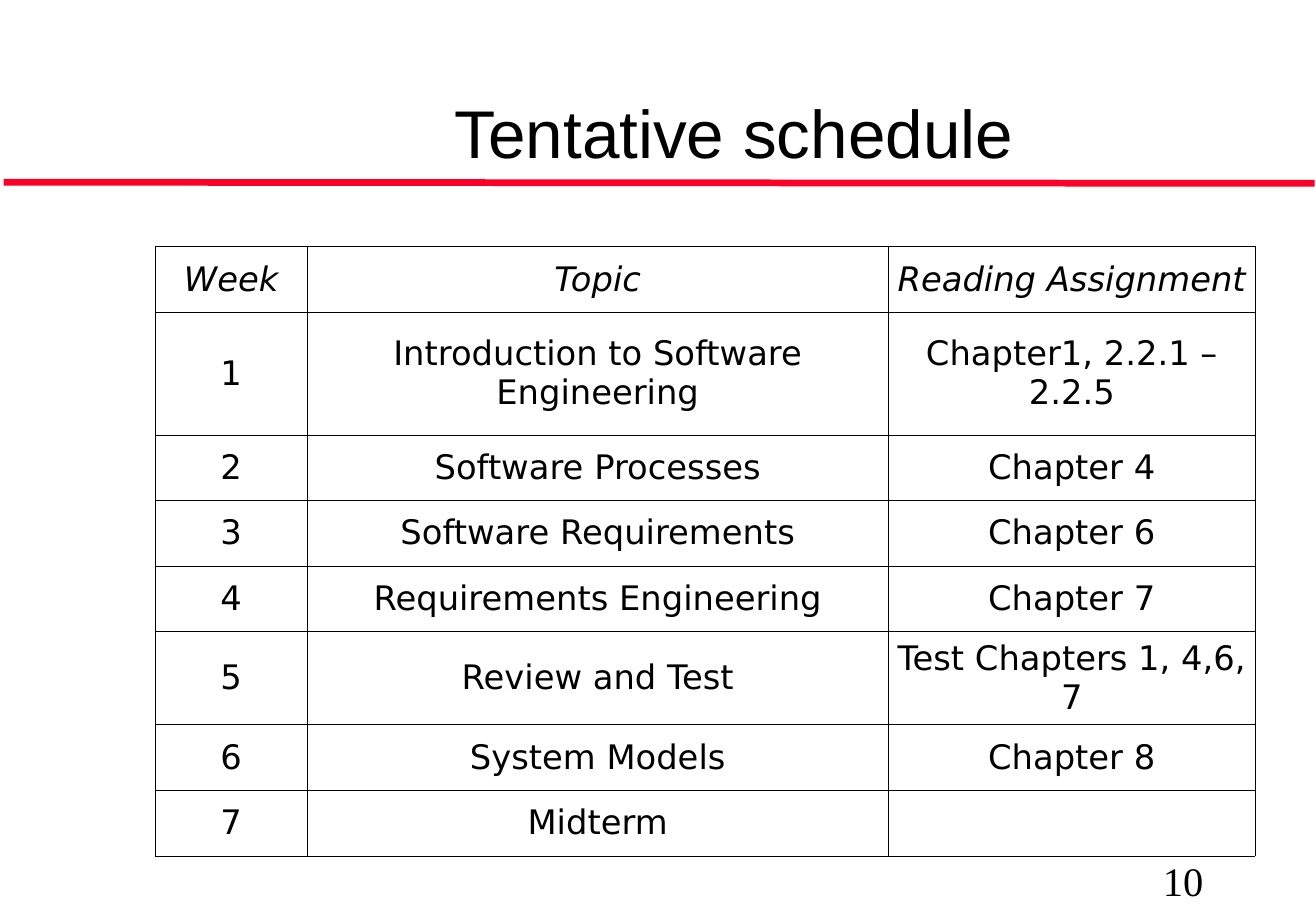
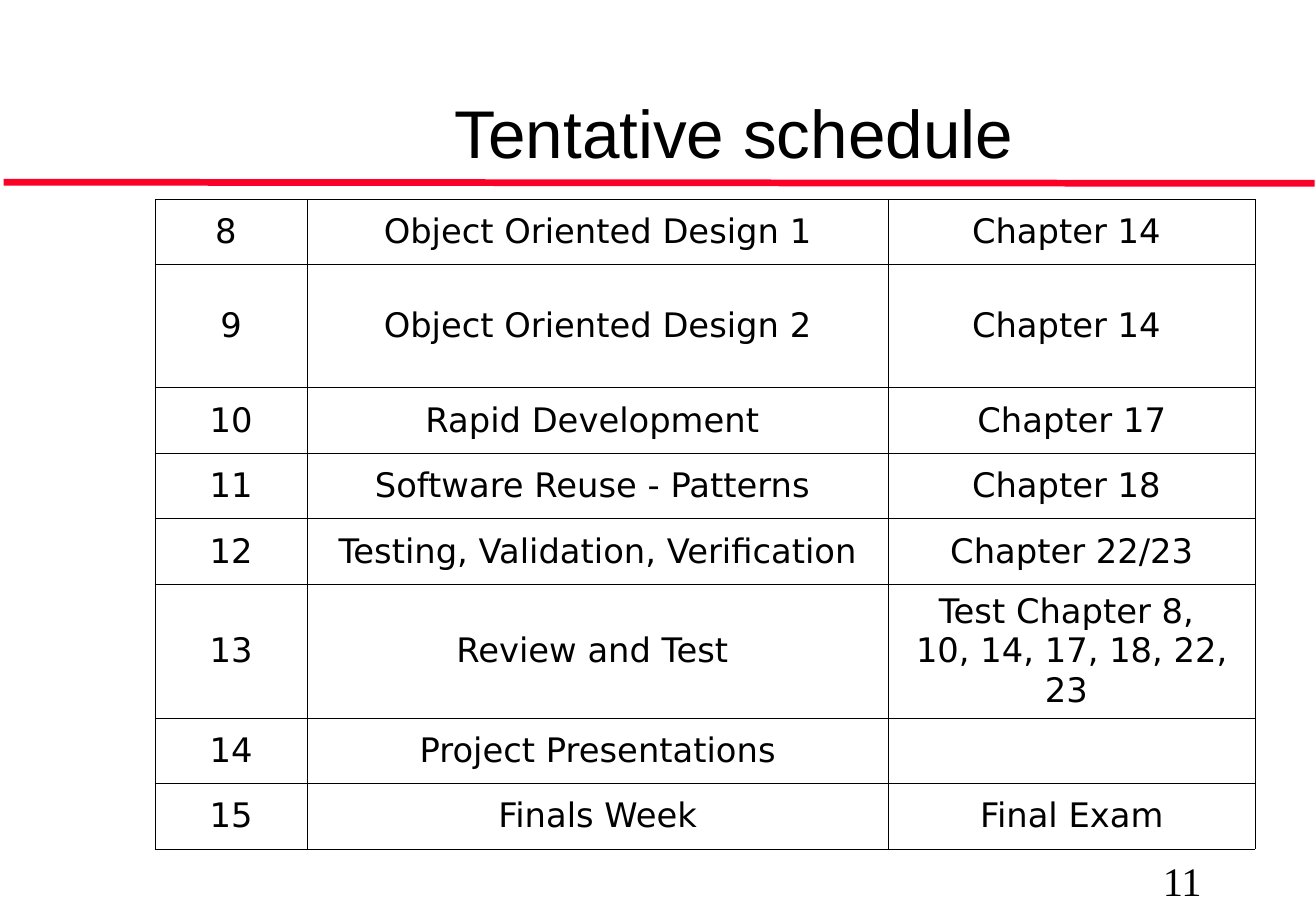
"""Build two slides that show a tentative course schedule as tables."""
from lxml.etree import SubElement
from pptx import Presentation
from pptx.dml.color import RGBColor
from pptx.enum.shapes import MSO_CONNECTOR
from pptx.enum.text import MSO_ANCHOR, PP_ALIGN
from pptx.oxml.ns import qn
from pptx.util import Inches, Pt

BLACK, RED = "000000", "FC0128"

deck = Presentation()
deck.slide_width, deck.slide_height = Inches(10.84), Inches(7.5)
COL, ROW = deck.slide_width / 100, deck.slide_height / 100

TABLE_LEFT = 11.8
TABLE_COLS = [11.53, 44.19, 27.86]
LINE, TALL = 7.2, 13.47

schedules = [
    {
        "number": "10",
        "top": 27.07,
        "heights": [LINE, TALL, LINE, LINE, LINE, 9.2, LINE, LINE],
        "header": True,
        "weeks": [
            ("Week", "Topic", "Reading Assignment"),
            ("1", "Introduction to Software Engineering", "Chapter1, 2.2.1 – 2.2.5"),
            ("2", "Software Processes", "Chapter 4"),
            ("3", "Software Requirements", "Chapter 6"),
            ("4", "Requirements Engineering", "Chapter 7"),
            ("5", "Review and Test", "Test Chapters 1, 4,6, 7"),
            ("6", "System Models", "Chapter 8"),
            ("7", "Midterm", ""),
        ],
    },
    {
        "number": "11",
        "top": 21.87,
        "heights": [LINE, TALL, LINE, LINE, LINE, 13.6, LINE, LINE],
        "header": False,
        "weeks": [
            ("8 ", "Object Oriented Design 1", "Chapter 14 "),
            ("9", "Object Oriented Design 2", "Chapter 14 "),
            ("10", "Rapid Development ", "Chapter 17"),
            ("11", "Software Reuse - Patterns ", "Chapter 18 "),
            ("12", "Testing, Validation, Verification", "Chapter 22/23"),
            ("13", "Review and Test ", "Test Chapter 8, \n10, 14, 17, 18, 22, 23 "),
            ("14", "Project Presentations", ""),
            ("15", "Finals Week", "Final Exam"),
        ],
    },
]


def color(code):
    return RGBColor.from_string(code)


def write(frame, text, size=20, font="DejaVu Sans", italic=False, align=PP_ALIGN.CENTER):
    frame.word_wrap = True
    frame.text = text
    for paragraph in frame.paragraphs:
        paragraph.alignment = align
        for run in paragraph.runs:
            run.font.size, run.font.name = Pt(size), font
            run.font.italic = italic
            run.font.color.rgb = color(BLACK)


for schedule in schedules:
    slide = deck.slides.add_slide(deck.slide_layouts[6])

    rule = slide.shapes.add_connector(
        MSO_CONNECTOR.STRAIGHT,
        int(0.28 * COL), int(20 * ROW), int(99.9 * COL), int(20.13 * ROW))
    rule.line.color.rgb, rule.line.width = color(RED), Pt(4)
    SubElement(rule.element.spPr, qn("a:effectLst"))

    title = slide.shapes.add_textbox(
        int(11.62 * COL), int(8.93 * ROW), int(88.28 * COL), int(11.07 * ROW))
    title.text_frame.vertical_anchor = MSO_ANCHOR.MIDDLE
    write(title.text_frame, "Tentative schedule", size=40, font="Arial")

    page = slide.shapes.add_textbox(
        int(87.45 * COL), int(93.33 * ROW), int(8.3 * COL), int(4 * ROW))
    write(page.text_frame, schedule["number"], size=24, font="Times New Roman",
          align=PP_ALIGN.LEFT)

    weeks, heights = schedule["weeks"], schedule["heights"]
    plan = slide.shapes.add_table(
        len(weeks), len(TABLE_COLS),
        int(TABLE_LEFT * COL), int(schedule["top"] * ROW),
        int(sum(TABLE_COLS) * COL), int(sum(heights) * ROW)).table
    plan.first_row = schedule["header"]
    plan.horz_banding = False
    for column, width in zip(plan.columns, TABLE_COLS):
        column.width = int(width * COL)

    for index, (row, height, week) in enumerate(zip(plan.rows, heights, weeks)):
        row.height = int(height * ROW)
        for cell, entry in zip(row.cells, week):
            cell.vertical_anchor = MSO_ANCHOR.MIDDLE
            cell.margin_left = cell.margin_right = Inches(0.01)
            borders = cell._tc.get_or_add_tcPr()
            for side in ("a:lnL", "a:lnR", "a:lnT", "a:lnB"):
                border = SubElement(borders, qn(side), w=str(Pt(0.45)))
                ink = SubElement(border, qn("a:solidFill"))
                SubElement(ink, qn("a:srgbClr"), val=BLACK)
            cell.fill.background()
            write(cell.text_frame, entry, italic=schedule["header"] and index == 0)
            for run in (run for p in cell.text_frame.paragraphs for run in p.runs):
                run.font.bold = False

deck.save("out.pptx")
